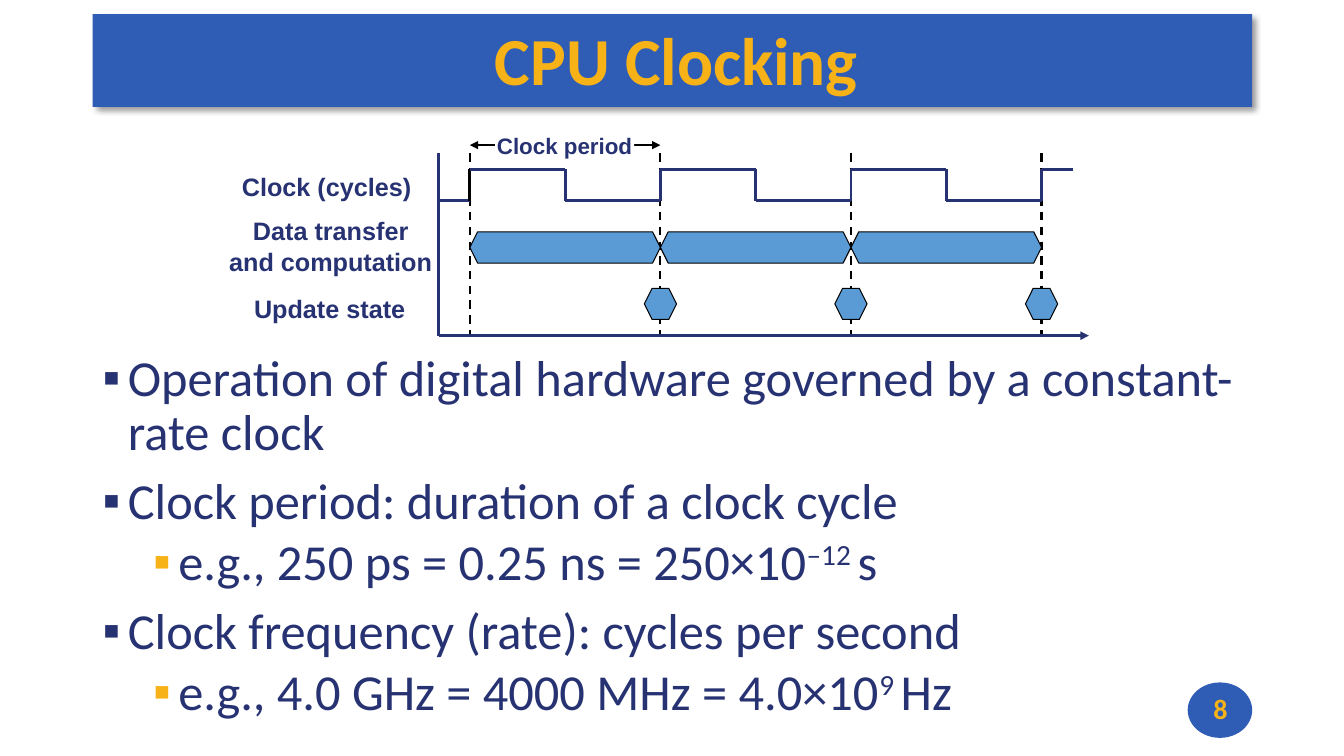
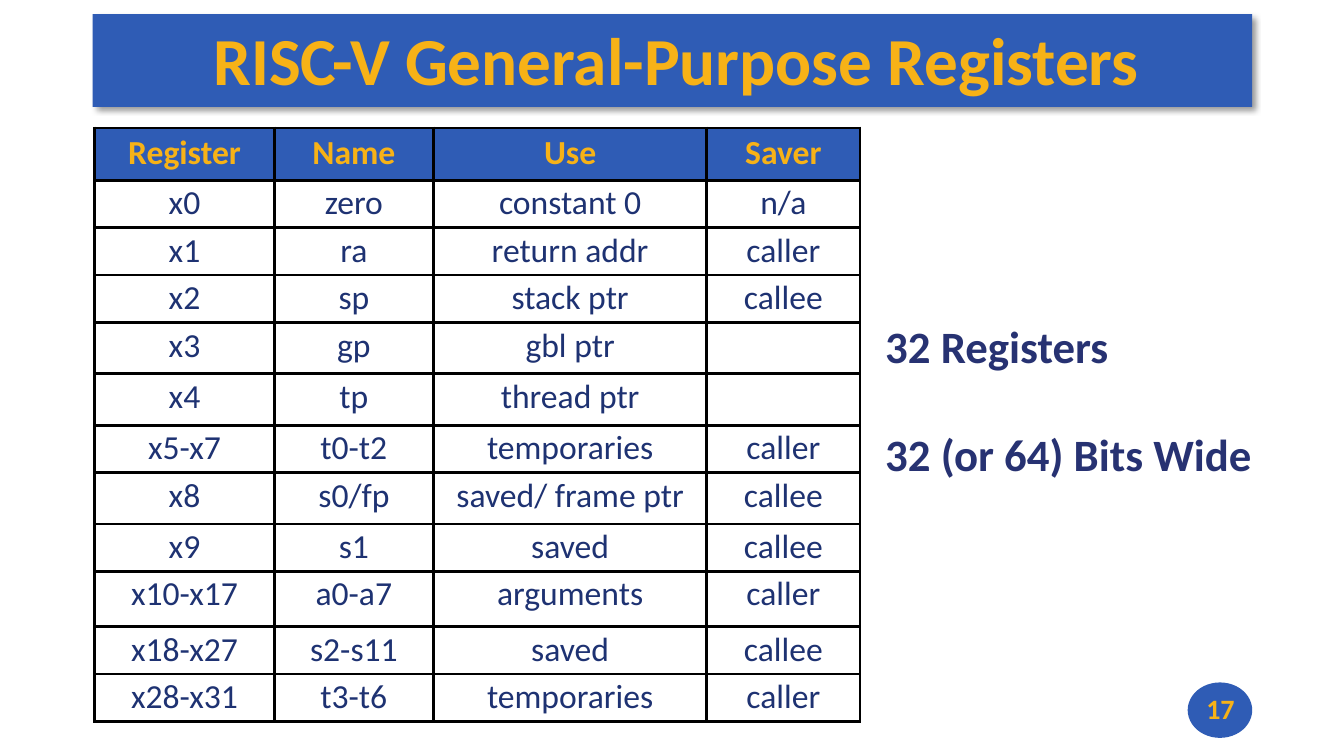
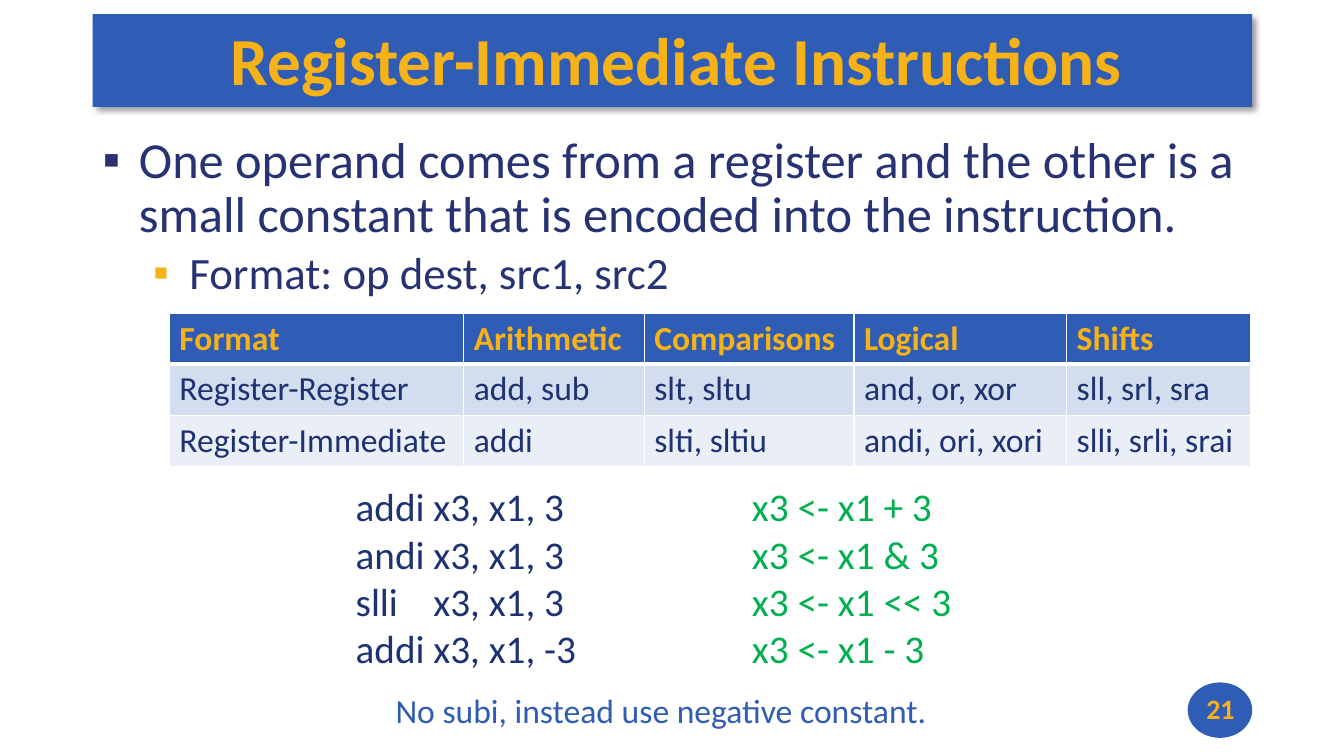
from dataclasses import dataclass

from lxml.etree import SubElement
from pptx import Presentation
from pptx.dml.color import RGBColor
from pptx.enum.dml import MSO_LINE
from pptx.enum.shapes import MSO_CONNECTOR, MSO_SHAPE
from pptx.enum.text import MSO_ANCHOR, MSO_AUTO_SIZE, PP_ALIGN
from pptx.oxml.ns import qn
from pptx.util import Inches, Pt


@dataclass(frozen=True)
class Theme:
    blue: str = "2F5CB5"
    gold: str = "F7B217"
    navy: str = "273272"
    ink: str = "1E3272"
    green: str = "00B050"
    sky: str = "5B9BD5"
    white: str = "FFFFFF"
    black: str = "000000"
    bands: tuple = ("D2DEEF", "EAEFF7")
    font: str = "Calibri"
    diagram_font: str = "Arial"
    title: int = 48
    body: int = 36
    large: int = 32
    code: int = 28
    table: int = 24
    number: int = 20
    label: int = 18
    small: int = 16


THEME = Theme()
LEFT, WIDTH = 0.92, 11.5
BADGE = (11.78, 6.77, 0.64, 0.55)

TITLES = [
    ("CPU Clocking", "8"),
    ("RISC-V General-Purpose Registers", "17"),
    ("Register-Immediate Instructions", "21"),
]

# Bullets: level, type size, pieces of text; every second piece is superscript.
CLOCK_BULLETS = [
    (0, THEME.body, ["Operation of digital hardware governed by a constant-rate clock"]),
    (0, THEME.body, ["Clock period: duration of a clock cycle"]),
    (1, THEME.body, ["e.g., 250 ps = 0.25 ns = 250×10", "–12 ", "s"]),
    (0, THEME.body, ["Clock frequency (rate): cycles per second"]),
    (1, THEME.body, ["e.g., 4.0 GHz = 4000 MHz = 4.0×10", "9 ", "Hz"]),
]
OPERAND_BULLETS = [
    (0, THEME.body, ["One operand comes from a register and the other is a "
                     "small constant that is encoded into the instruction."]),
    (1, THEME.large, ["Format: op dest, src1, src2"]),
]

ROW_LABELS = [
    ("Clock (cycles)", (2.29, 1.65, 1.9, 0.4)),
    ("Data transfer\vand computation", (2.16, 2.09, 2.24, 0.71)),
    ("Update state", (2.41, 2.86, 1.72, 0.4)),
]

REGISTERS = [
    ("Register", "Name", "Use", "Saver"),
    ("x0", "zero", "constant 0", "n/a"),
    ("x1", "ra", "return addr", "caller"),
    ("x2", "sp", "stack ptr", "callee"),
    ("x3", "gp", "gbl ptr", ""),
    ("x4", "tp", "thread ptr", ""),
    ("x5-x7", "t0-t2", "temporaries", "caller"),
    ("x8", "s0/fp", "saved/ frame ptr", "callee"),
    ("x9", "s1", "saved", "callee"),
    ("x10-x17", "a0-a7", "arguments", "caller"),
    ("x18-x27", "s2-s11", "saved", "callee"),
    ("x28-x31", "t3-t6", "temporaries", "caller"),
]
REGISTER_COLUMNS = [1.78, 1.58, 2.71, 1.52]
REGISTER_ROWS = [0.52, 0.47, 0.47, 0.47, 0.51, 0.51, 0.47, 0.51, 0.47, 0.55, 0.47, 0.47]
REGISTER_FACTS = ["32 Registers", "32 (or 64) Bits Wide"]

INSTRUCTIONS = [
    ("Format", "Arithmetic", "Comparisons", "Logical", "Shifts"),
    ("Register-Register", "add, sub", "slt, sltu", "and, or, xor", "sll, srl, sra"),
    ("Register-Immediate", "addi", "slti, sltiu", "andi, ori, xori", "slli, srli, srai"),
]
INSTRUCTION_COLUMNS = [2.92, 1.79, 2.08, 2.11, 1.82]
INSTRUCTION_ROWS = [0.5, 0.51, 0.51]
EXAMPLES = [
    ("addi\tx3, x1, 3", "x3 <- x1 + 3"),
    ("andi\tx3, x1, 3", "x3 <- x1 & 3"),
    ("slli\tx3, x1, 3", "x3 <- x1 << 3"),
    ("addi\tx3, x1, -3", "x3 <- x1 - 3"),
]
NOTE = "No subi, instead use negative constant."


def inches(values):
    return [Inches(value) for value in values]


def rgb(color):
    return RGBColor.from_string(color)


def style(para, size, color, bold=False, font=THEME.font, align=None):
    para.alignment = align
    for span in para.runs:
        span.font.name = font
        span.font.size = Pt(size)
        span.font.bold = bold
        span.font.color.rgb = rgb(color)


def set_margins(frame, left, top, right, bottom):
    frame.margin_left, frame.margin_top, frame.margin_right, frame.margin_bottom = inches(
        (left, top, right, bottom))


def add_text(page, text, place, size, color, wrap=True, anchor=MSO_ANCHOR.TOP, **look):
    frame = page.shapes.add_textbox(*inches(place)).text_frame
    frame.word_wrap = wrap
    frame.vertical_anchor = anchor
    frame.text = text
    for para in frame.paragraphs:
        style(para, size, color, **look)
    return frame


def add_figure(page, kind, place, fill, outline=None):
    figure = page.shapes.add_shape(kind, *inches(place))
    figure.shadow.inherit = False
    figure.fill.solid()
    figure.fill.fore_color.rgb = rgb(fill)
    if outline:
        figure.line.color.rgb = rgb(outline)
        figure.line.width = Pt(0.75)
    else:
        figure.line.fill.background()
    return figure


def add_line(page, start, end, color=THEME.navy, width=2, dashed=False, arrows=()):
    """Draw a straight line; arrows holds "headEnd" and/or "tailEnd"."""
    line = page.shapes.add_connector(MSO_CONNECTOR.STRAIGHT, *inches(start + end))
    line.line.color.rgb = rgb(color)
    line.line.width = Pt(width)
    if dashed:
        line.line.dash_style = MSO_LINE.DASH
    properties = line.element.spPr
    for arrow in arrows:
        SubElement(properties.find(qn("a:ln")), qn(f"a:{arrow}"), type="triangle")
    SubElement(properties, qn("a:effectLst"))


def decorate_layout(layout, page):
    """Draw the title band and number badge on a page, then move them to the layout."""
    band = add_figure(page, MSO_SHAPE.RECTANGLE, (LEFT, 0.14, WIDTH, 0.92), THEME.blue)
    shadow = SubElement(band.element.spPr.find(qn("a:effectLst")), qn("a:outerShdw"),
                        blurRad=str(Pt(4)), dist=str(Pt(3)), dir="2700000", algn="tl")
    shade = SubElement(shadow, qn("a:srgbClr"), val=THEME.black)
    SubElement(shade, qn("a:alpha"), val="40000")
    badge = add_figure(page, MSO_SHAPE.OVAL, BADGE, THEME.blue)
    for index, figure in enumerate((band, badge)):
        figure.element.nvSpPr.cNvPr.set("id", str(100 + index))
        layout.shapes.element.insert(2 + index, figure.element)


def add_heading(page, title, number):
    heading = page.shapes.title
    heading.left, heading.top, heading.width, heading.height = inches((LEFT, 0.12, WIDTH, 0.92))
    frame = heading.text_frame
    frame.text = title
    frame.auto_size = MSO_AUTO_SIZE.NONE
    frame.vertical_anchor = MSO_ANCHOR.MIDDLE
    set_margins(frame, 0.08, 0.03, 0, 0.03)
    style(frame.paragraphs[0], THEME.title, THEME.gold, bold=True, align=PP_ALIGN.CENTER)
    add_text(page, number, (11.78, 6.77, 0.65, 0.52), THEME.number, THEME.gold,
             anchor=MSO_ANCHOR.MIDDLE, bold=True, align=PP_ALIGN.CENTER)


def add_bullets(page, bullets, top, height, hanging):
    frame = page.shapes.add_textbox(*inches((LEFT, top, WIDTH, height))).text_frame
    frame.word_wrap = True
    for index, (level, size, pieces) in enumerate(bullets):
        para = frame.add_paragraph() if index else frame.paragraphs[0]
        para.level = level
        properties = para._p.get_or_add_pPr()
        properties.set("marL", str(Inches(0.5 * level + hanging)))
        properties.set("indent", str(-Inches(hanging)))
        color = SubElement(properties, qn("a:buClr"))
        SubElement(color, qn("a:srgbClr"), val=THEME.gold if level else THEME.navy)
        SubElement(properties, qn("a:buFont"), typeface=THEME.diagram_font)
        SubElement(properties, qn("a:buChar"), char="▪")
        para.line_spacing = 0.9
        if index:
            para.space_before = Pt(5 if level else 10)
        for position, piece in enumerate(pieces):
            span = para.add_run()
            span.text = piece
            if position % 2:
                span._r.get_or_add_rPr().set("baseline", "30000")
        style(para, size, THEME.navy)


def set_borders(cell, color, width, bottom):
    properties = cell._tc.get_or_add_tcPr()
    for side in "LRTB":
        points = bottom if side == "B" else width
        border = SubElement(properties, qn(f"a:ln{side}"), w=str(Pt(points)))
        fill = SubElement(border, qn("a:solidFill"))
        SubElement(fill, qn("a:srgbClr"), val=color)


def add_grid(page, rows, corner, columns, heights, bands, border, width, header_rule,
             align=None, spacing=None):
    """Add a table with a blue header row and body rows filled by turns from bands."""
    place = (*corner, sum(columns), sum(heights))
    table = page.shapes.add_table(len(rows), len(columns), *inches(place)).table
    for column, size in zip(table.columns, columns):
        column.width = Inches(size)
    for index, (row, height, texts) in enumerate(zip(table.rows, heights, rows)):
        row.height = Inches(height)
        header = index == 0
        for cell, text in zip(row.cells, texts):
            set_borders(cell, border, width, header_rule if header else width)
            cell.fill.solid()
            cell.fill.fore_color.rgb = rgb(
                THEME.blue if header else bands[(index - 1) % len(bands)])
            cell.text = text
            para = cell.text_frame.paragraphs[0]
            style(para, THEME.table, THEME.gold if header else THEME.ink,
                  bold=header, align=align)
            if spacing and not header:
                para.line_spacing = spacing


def draw_clock(page):
    origin, period, cycles = 4.66, 1.89, 3
    axis, top, floor = 4.35, 1.52, 3.33
    high, low, arrow_level = 1.68, 1.99, 1.44
    hexagon_height, update_width = 0.31, 0.32
    edges = [origin + period * cycle for cycle in range(cycles + 1)]

    add_line(page, (edges[0], arrow_level), (edges[1], arrow_level), THEME.black, 1.5,
             arrows=("headEnd", "tailEnd"))
    for edge in edges:
        add_line(page, (edge, top), (edge, floor), THEME.black, 1.5, dashed=True)

    wave = [(axis, low)]
    for edge in edges[:-1]:
        middle = edge + period / 2
        wave += [(edge, low), (edge, high), (middle, high), (middle, low)]
    wave += [(edges[-1], low), (edges[-1], high), (edges[-1] + 0.31, high)]
    for index, (start, end) in enumerate(zip(wave, wave[1:])):
        add_line(page, start, end, THEME.black if index == 1 else THEME.navy)

    add_line(page, (axis, floor), (10.8, floor), arrows=("tailEnd",))
    add_line(page, (axis, floor), (axis, top))
    for start, end in zip(edges, edges[1:]):
        for place in ((start, 2.3, period, hexagon_height),
                      (end - update_width / 2, 2.86, update_width, hexagon_height)):
            add_figure(page, MSO_SHAPE.HEXAGON, place, THEME.sky, THEME.black)

    look = dict(bold=True, font=THEME.diagram_font, align=PP_ALIGN.CENTER)
    for text, place in ROW_LABELS:
        add_text(page, text, place, THEME.label, THEME.navy, wrap=False, **look)
    period_label = add_figure(page, MSO_SHAPE.RECTANGLE, (4.91, 1.36, 1.38, 0.16), THEME.white)
    frame = period_label.text_frame
    frame.text = "Clock period"
    frame.word_wrap = False
    frame.vertical_anchor = MSO_ANCHOR.MIDDLE
    set_margins(frame, 0, 0, 0, 0)
    style(frame.paragraphs[0], THEME.small, THEME.navy, **look)


def build_clocking(page):
    add_bullets(page, CLOCK_BULLETS, top=3.45, height=3.89, hanging=0.25)
    draw_clock(page)


def build_registers(page):
    add_grid(page, REGISTERS, (0.94, 1.27), REGISTER_COLUMNS, REGISTER_ROWS, (THEME.white,),
             THEME.black, 2.25, header_rule=2.25, align=PP_ALIGN.CENTER, spacing=0.9)
    facts = add_text(page, "\n".join(REGISTER_FACTS), (8.7, 1.77, 3.75, 4.39), THEME.large,
                     THEME.navy, anchor=MSO_ANCHOR.MIDDLE, bold=True)
    set_margins(facts, 0.08, 0.03, 0, 0.03)
    facts.paragraphs[1].space_before = Pt(39)


def build_instructions(page):
    add_bullets(page, OPERAND_BULLETS, top=1.29, height=1.93, hanging=0.36)
    add_grid(page, INSTRUCTIONS, (1.68, 3.11), INSTRUCTION_COLUMNS, INSTRUCTION_ROWS,
             THEME.bands, THEME.white, 1, header_rule=3)
    codes, meanings = zip(*EXAMPLES)
    listing = add_text(page, "\n".join(codes), (3.43, 4.74, 2.63, 1.99), THEME.code, THEME.ink)
    for para in listing.paragraphs:
        tabs = SubElement(para._p.get_or_add_pPr(), qn("a:tabLst"))
        SubElement(tabs, qn("a:tab"), pos=str(Inches(0.77)), algn="l")
    add_text(page, "\n".join(meanings), (7.36, 4.74, 2.64, 1.99), THEME.code, THEME.green)
    add_text(page, NOTE, (3.82, 6.8, 5.47, 0.5), THEME.table, THEME.blue,
             align=PP_ALIGN.CENTER)


def main():
    deck = Presentation()
    deck.slide_width, deck.slide_height = inches((13.33, 7.5))
    layout = deck.slide_layouts[5]
    pages = [deck.slides.add_slide(layout) for _ in TITLES]
    decorate_layout(layout, pages[0])
    builders = (build_clocking, build_registers, build_instructions)
    for page, (title, number), build in zip(pages, TITLES, builders):
        add_heading(page, title, number)
        build(page)
    deck.save("out.pptx")


if __name__ == "__main__":
    main()
